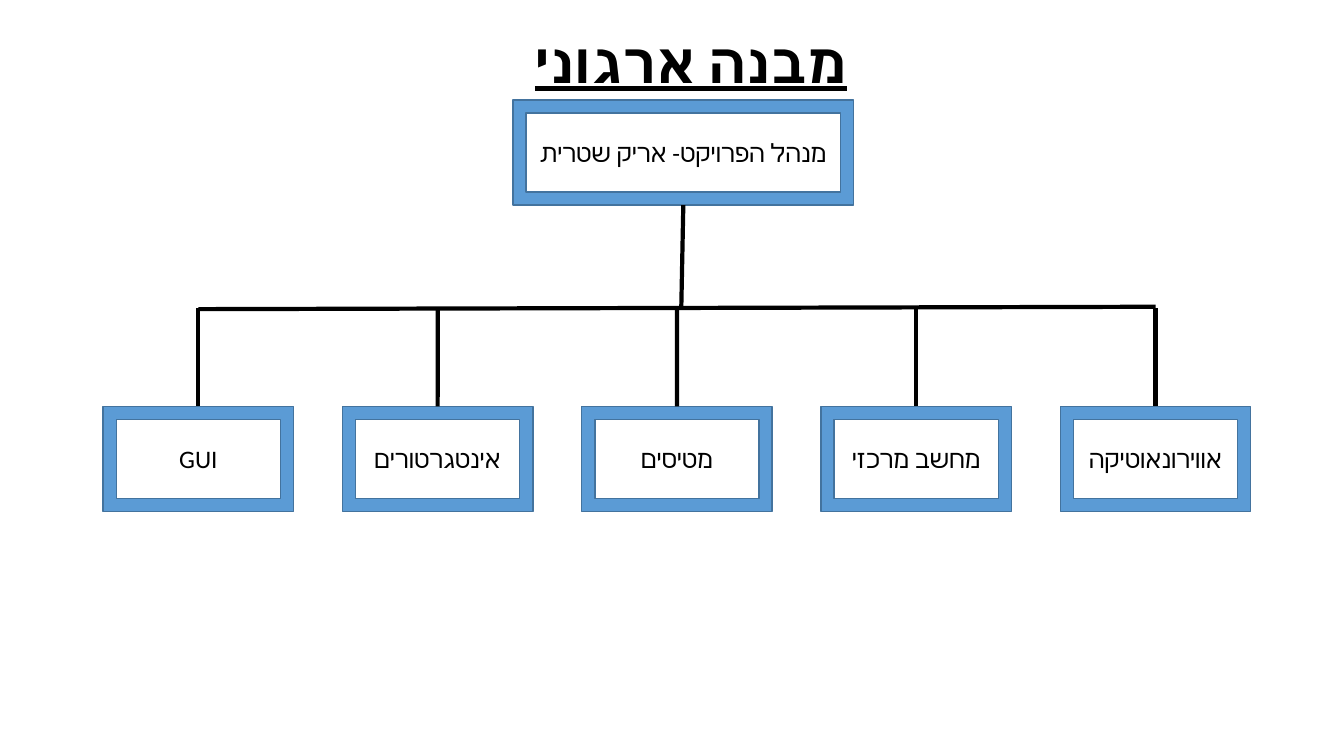
"""Builds an organisation chart slide with one manager and five teams."""
import pptx
import pptx.dml.color
import pptx.enum.shapes
import pptx.enum.text
import pptx.oxml
import pptx.oxml.ns
import pptx.util

Cm, Pt = pptx.util.Cm, pptx.util.Pt
KIND = pptx.enum.shapes

TITLE = "מבנה ארגוני"
BOSS = "מנהל הפרויקט- אריק שטרית"
TEAMS = ["אווירונאוטיקה", "מחשב מרכזי", "מטיסים", "אינטגרטורים", "GUI"]

BOX_W, BOX_H = 4.8, 2.65
RIGHT, PITCH, ROW = 26.72, 6.03, 10.24
BOSS_X, BOSS_Y, BOSS_W = 12.93, 2.52, 8.58
BAR, SLANT = 7.76, 0.03


def color(code):
    return pptx.dml.color.RGBColor.from_string(code)


def write(shape, text, size, bold=False):
    frame = shape.text_frame
    frame.word_wrap = True
    par = frame.paragraphs[0]
    par.text = text
    par.alignment = pptx.enum.text.PP_ALIGN.CENTER
    par._p.get_or_add_pPr().set("rtl", "1")
    font = par.font
    font.name, font.size = "Calibri", Pt(size)
    font.bold, font.underline = bold, bold
    font.color.rgb = color("000000")
    for run in par.runs:
        props = run._r.get_or_add_rPr()
        face = pptx.oxml.parse_xml(
            '<a:cs %s typeface="Calibri"/>' % pptx.oxml.ns.nsdecls("a"))
        props.append(face)


def box(slide, text, left, top, width):
    shape = slide.shapes.add_shape(
        KIND.MSO_SHAPE.FRAME, Cm(left), Cm(top), Cm(width), Cm(BOX_H))
    shape.shadow.inherit = False
    shape.fill.solid()
    shape.fill.fore_color.rgb = color("5B9BD5")
    shape.line.color.rgb = color("43739E")
    shape.line.width = Pt(1)
    shape.text_frame.vertical_anchor = pptx.enum.text.MSO_ANCHOR.MIDDLE
    write(shape, text, 18)
    return shape


def link(slide, x1, y1, x2, y2):
    line = slide.shapes.add_connector(
        KIND.MSO_CONNECTOR.STRAIGHT, Cm(x1), Cm(y1), Cm(x2), Cm(y2))
    line.line.color.rgb = color("000000")
    line.line.width = Pt(3)
    line._element.spPr.append(pptx.oxml.parse_xml(
        "<a:effectLst %s/>" % pptx.oxml.ns.nsdecls("a")))
    return line


def main():
    deck = pptx.Presentation()
    deck.slide_width, deck.slide_height = Cm(33.87), Cm(19.05)
    slide = deck.slides.add_slide(deck.slide_layouts[6])

    title = slide.shapes.add_textbox(Cm(1.7), Cm(0.56), Cm(31.42), Cm(1.96))
    write(title, TITLE, 40, bold=True)

    boss = box(slide, BOSS, BOSS_X, BOSS_Y, BOSS_W)
    mid = BOSS_X + BOSS_W / 2
    trunk = link(slide, mid, BOSS_Y + BOX_H, mid - 0.05, BAR)
    trunk.begin_connect(boss, 2)

    first = RIGHT + BOX_W / 2
    last = first - PITCH * (len(TEAMS) - 1)
    link(slide, first, BAR - SLANT, last, BAR + SLANT)

    for i, name in enumerate(TEAMS):
        left = RIGHT - i * PITCH
        team = box(slide, name, left, ROW, BOX_W)
        mid = left + BOX_W / 2
        link(slide, mid, BAR, mid, ROW).end_connect(team, 0)

    deck.save("out.pptx")


if __name__ == "__main__":
    main()
